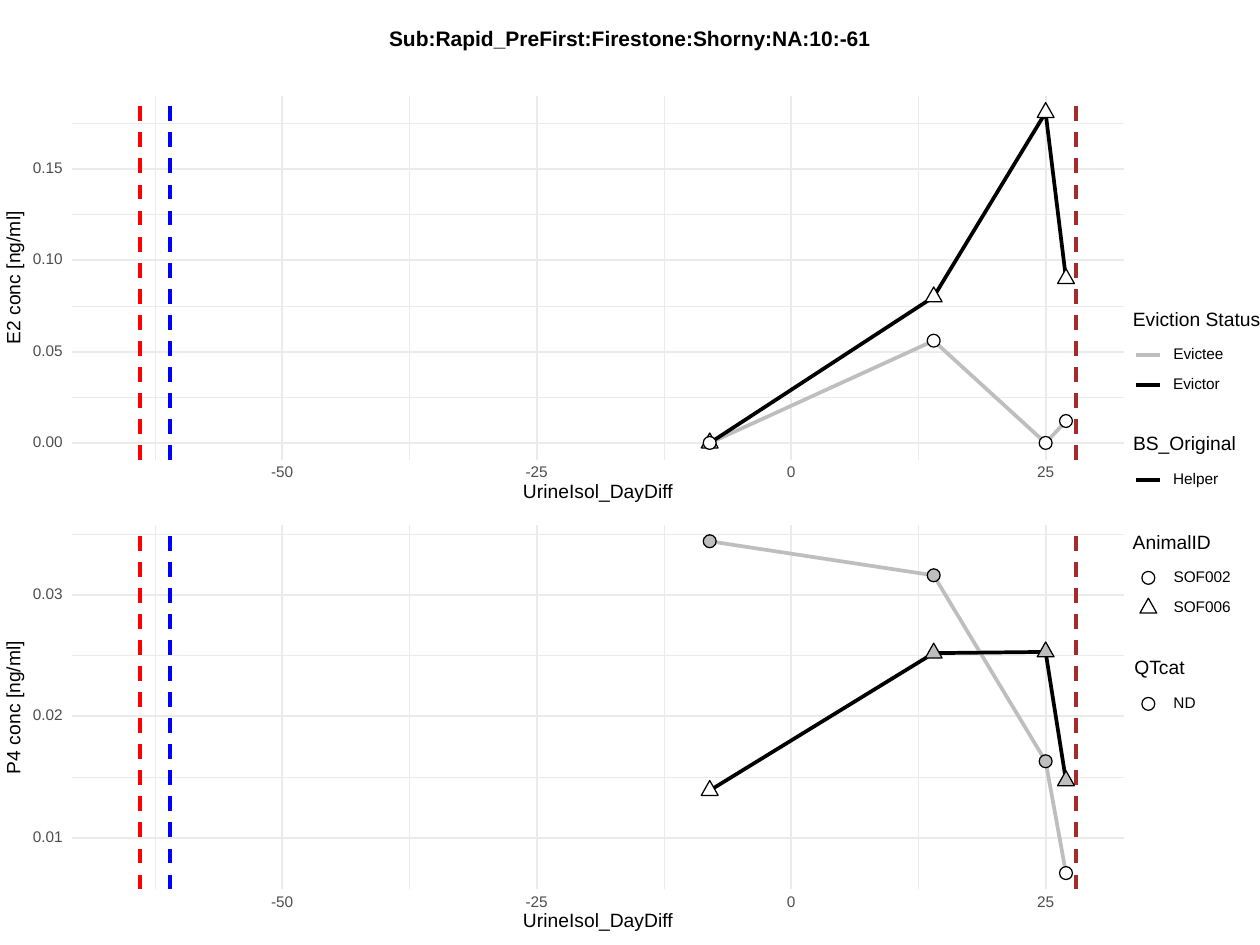
from lxml.etree import SubElement
from pptx import Presentation
from pptx.dml.color import RGBColor
from pptx.enum.dml import MSO_LINE
from pptx.enum.shapes import MSO_CONNECTOR, MSO_SHAPE
from pptx.enum.text import MSO_ANCHOR, PP_ALIGN
from pptx.oxml.ns import qn
from pptx.util import Cm, Pt

BLACK, WHITE, GRAY, GRID, TICK = "000000", "FFFFFF", "BEBEBE", "EBEBEB", "4D4D4D"

deck = Presentation()
deck.slide_width, deck.slide_height = Cm(25.4), Cm(19.05)
slide = deck.slides.add_slide(deck.slide_layouts[5])
shapes = slide.shapes


def ink(shape, tone, width, fill=None, dash=None):
    """Set outline and fill, and switch the shadow off."""
    shape.line.color.rgb = RGBColor.from_string(tone)
    shape.line.width = Pt(width)
    if dash:
        shape.line.dash_style = dash
    if fill:
        shape.fill.solid()
        shape.fill.fore_color.rgb = RGBColor.from_string(fill)
    elif hasattr(shape, "fill"):
        shape.fill.background()
    SubElement(shape._element.spPr, qn("a:effectLst"))


def write(text, x, y, w, h, size, tone=BLACK, turn=0, box=None, bold=False):
    """Put one line of text, centred on height y, in a new or given box."""
    box = box or shapes.add_textbox(0, 0, 0, 0)
    slack = 0.1  # spare room on each side keeps the text on one line
    place = {"left": Cm(x - slack), "top": Cm(y - h / 2),
             "width": Cm(w + 2 * slack), "height": Cm(h), "rotation": turn}
    for name, value in place.items():
        setattr(box, name, value)
    frame = box.text_frame
    frame.text = text
    style = {"margin_left": 0, "margin_right": 0, "margin_top": 0,
             "margin_bottom": 0, "word_wrap": False,
             "vertical_anchor": MSO_ANCHOR.MIDDLE}
    for name, value in style.items():
        setattr(frame, name, value)
    line = frame.paragraphs[0]
    line.line_spacing = Pt(size)
    line.alignment = PP_ALIGN.CENTER
    font = line.runs[0].font
    for name, value in {"name": "Arial", "size": Pt(size), "bold": bold}.items():
        setattr(font, name, value)
    font.color.rgb = RGBColor.from_string(tone)


# White page behind everything
page = shapes.add_shape(MSO_SHAPE.RECTANGLE, 0, 0, deck.slide_width, deck.slide_height)
ink(page, WHITE, 0.75, WHITE)
shapes.title._element.addprevious(page._element)

# Title
write("Sub:Rapid_PreFirst:Firestone:Shorny:NA:10:-61", 7.85, 0.81, 9.7, 0.41,
      12, box=shapes.title, bold=True)

# Shared day axis
left, right, tall = 1.45, 22.66, 7.34
zero, per_day = 15.95, 5.13 / 25
days = [-8, 14, 25, 27]
ticks = {-50: 0.46, -25: 0.46, 0: 0.18, 25: 0.36}  # day: label width
events = {-64: "FF0000", -61: "0000FF", 28: "A52A2A"}

# Panels: base is the height of the first tick, gap the distance between ticks
panels = [
    {"name": "E2 conc [ng/ml]", "top": 1.93, "base": 8.93, "gap": 1.84,
     "first": 0, "step": 0.05, "count": 4,
     "evictor": [0, 0.08, 0.181, 0.09], "evictee": [0, 0.056, 0, 0.012],
     "fills": [[WHITE] * 4, [WHITE] * 4]},
    {"name": "P4 conc [ng/ml]", "top": 10.59, "base": 16.89, "gap": 2.45,
     "first": 0.01, "step": 0.01, "count": 3,
     "evictor": [0.0139, 0.0252, 0.0253, 0.0147],
     "evictee": [0.0344, 0.0316, 0.0163, 0.0071],
     "fills": [[WHITE, GRAY, GRAY, GRAY], [GRAY, GRAY, GRAY, WHITE]]},
]
rules, curves, marks = [], [], []
for panel in panels:
    top, base, gap = panel["top"], panel["base"], panel["gap"]
    low = top + tall

    # Grid: minor lines lie half a step from the major ones
    for half, width in ((0.5, 0.53), (0, 1.07)):
        for i in range(panel["count"]):
            y = base - (i + half) * gap
            rules.append((left, y, right, y, GRID, width, None))
        for day in ticks:
            x = zero + (day - 25 * half) * per_day
            rules.append((x, low, x, top, GRID, width, None))

    # Event days
    for day, tone in events.items():
        x = zero + day * per_day
        rules.append((x, low, x, top, tone, 2.13, MSO_LINE.DASH))

    # Curves and their points
    points = {}
    for who in ("evictee", "evictor"):
        points[who] = [
            (zero + day * per_day, base - (value - panel["first"]) / panel["step"] * gap)
            for day, value in zip(days, panel[who])]
        curves.append((points[who], GRAY if who == "evictee" else BLACK))
    for who, kind, fills in zip(("evictor", "evictee"), ("tri", "dot"), panel["fills"]):
        marks += [(kind, x, y, fill) for (x, y), fill in zip(points[who], fills)]

    # Axis labels
    for i in range(panel["count"]):
        write(f"{panel['first'] + i * panel['step']:.2f}",
              0.66, base - i * gap, 0.61, 0.23, 8.8, TICK)
    for day, wide in ticks.items():
        write(str(day), zero + day * per_day - wide / 2, low + 0.27,
              wide, 0.23, 8.8, TICK)
    write("UrineIsol_DayDiff", (left + right - 3.02) / 2, low + 0.66, 3.02, 0.36, 11)
    write(panel["name"], -1.04, top + tall / 2, 2.67, 0.36, 11, turn=270)

# Legend
heads = [("Eviction Status", 6.46, 2.57), ("BS_Original", 8.97, 2.08),
         ("AnimalID", 10.96, 1.57), ("QTcat", 13.49, 1.07)]
for text, y, wide in heads:
    write(text, 22.84, y, wide, 0.3, 11)
keys = [("Evictee", 7.15, 1.02, "line", GRAY), ("Evictor", 7.76, 0.94, "line", BLACK),
        ("Helper", 9.67, 0.91, "line", BLACK), ("SOF002", 11.65, 1.17, "dot", None),
        ("SOF006", 12.26, 1.17, "tri", None), ("ND", 14.19, 0.46, "dot", WHITE)]
for text, y, wide, kind, tone in keys:
    write(text, 23.65, y, wide, 0.23, 8.8)
    if kind == "line":
        rules.append((22.91, y, 23.39, y, tone, 2.13, None))
    else:
        marks.append((kind, 23.15, y, tone))

# Draw straight lines, then curves, then markers
for x1, y1, x2, y2, tone, width, dash in rules:
    rule = shapes.add_connector(MSO_CONNECTOR.STRAIGHT, Cm(x1), Cm(y1), Cm(x2), Cm(y2))
    ink(rule, tone, width, dash=dash)
for points, tone in curves:
    spots = [(Cm(x), Cm(y)) for x, y in points]
    pen = shapes.build_freeform(*spots[0])
    pen.add_line_segments(spots[1:], close=False)
    ink(pen.convert_to_shape(), tone, 2.13)
forms = {"dot": (MSO_SHAPE.OVAL, 0.26, 0.26, 0.13),
         "tri": (MSO_SHAPE.ISOSCELES_TRIANGLE, 0.34, 0.3, 0.2)}
for kind, x, y, fill in marks:
    form, wide, high, rise = forms[kind]
    mark = shapes.add_shape(form, Cm(x - wide / 2), Cm(y - rise), Cm(wide), Cm(high))
    ink(mark, BLACK, 0.71, fill)

deck.save("out.pptx")
